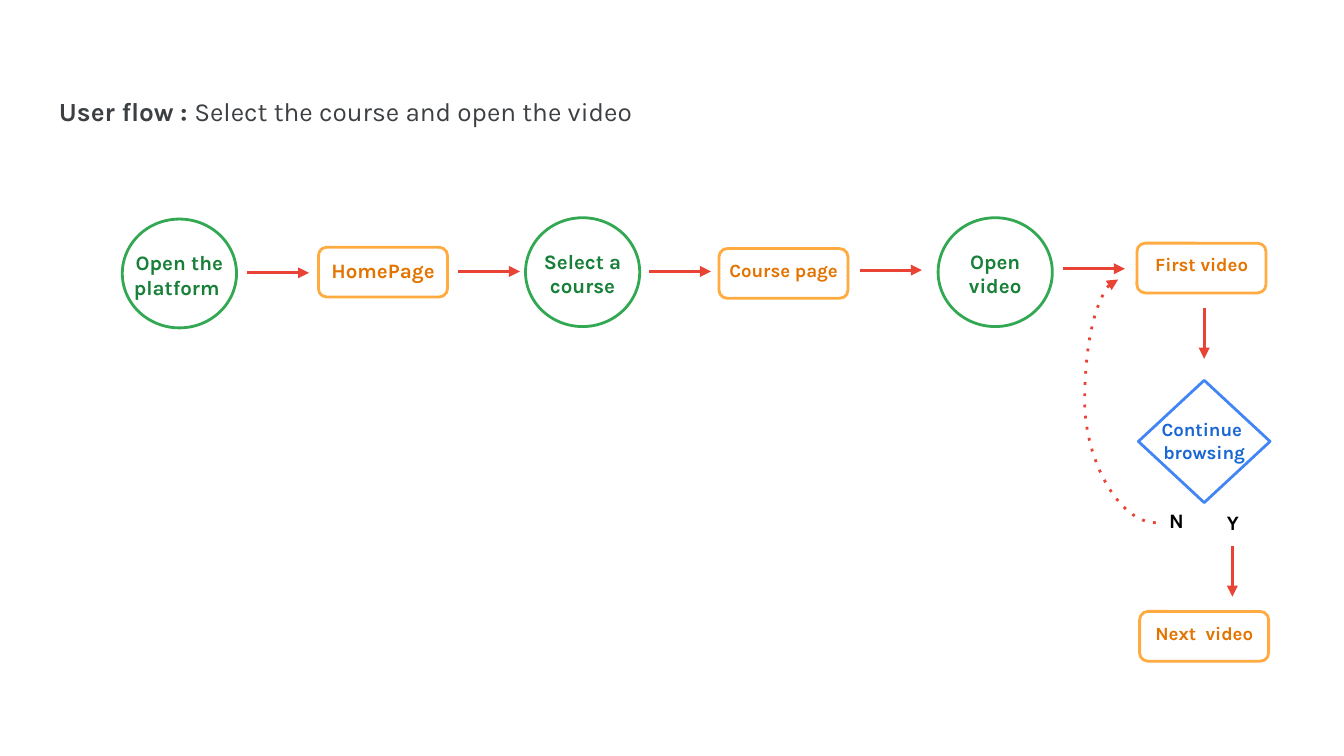
from pptx import Presentation
from pptx.dml.color import RGBColor
from pptx.enum.dml import MSO_LINE
from pptx.enum.shapes import MSO_CONNECTOR, MSO_SHAPE
from pptx.enum.text import PP_ALIGN
from pptx.oxml.ns import qn
from pptx.util import Inches, Pt
from lxml import etree

FONT = "Karla"
RED = "E94335"
TITLE = [("User flow : ", True), ("Select the course and open the video", False)]

KINDS = {
    "action": dict(shape=MSO_SHAPE.OVAL, size=(0.85, 0.81), line="33A853",
                   color="188038", text_size=(1.1, 0.39), text_drop=0.13),
    "page": dict(shape=MSO_SHAPE.ROUNDED_RECTANGLE, size=(0.96, 0.37), line="FFAB40",
                 color="E37400", text_size=(1.25, 0.56), text_drop=-0.01),
    "decision": dict(shape=MSO_SHAPE.DIAMOND, size=(0.98, 0.91), line="4285F4",
                     color="1967D2", text_size=(1.1, 0.44), text_drop=0.18),
}
STEPS = [
    ("action", 0.91, 1.63, "Open the platform ", 11),
    ("page", 2.37, 1.84, "HomePage", 11),
    ("action", 3.91, 1.62, "Select a course", 11),
    ("page", 5.35, 1.85, "Course page", 10),
    ("action", 6.98, 1.62, "Open\nvideo", 11),
    ("page", 8.46, 1.81, "First video", 10),
    ("decision", 8.47, 2.83, "Continue \nbrowsing", 10),
    ("page", 8.48, 4.55, "Next  video", 10),
]
ANSWERS = [("N", 8.6, 3.69, 0.4), ("Y", 9.03, 3.7, 0.24)]
ACROSS = [(1.84, 2.03), (3.41, 2.02), (4.83, 2.02), (6.4, 2.01), (7.91, 2.0)]
ACROSS_LENGTH = 0.46
DOWN = [(8.96, 2.29), (9.17, 4.06)]
DOWN_LENGTH = 0.38
LOOP = (8.6, 3.89, 8.32, 2.08)
LOOP_BULGE = 1.89


def rgb(value):
    return RGBColor.from_string(value)


def style(font, size, color, bold=True):
    font.name, font.size, font.bold = FONT, Pt(size), bold
    font.color.rgb = rgb(color)


def add_text(s, x, y, w, h, text, size, color, align=PP_ALIGN.LEFT):
    tf = s.shapes.add_textbox(*map(Inches, (x, y, w, h))).text_frame
    tf.word_wrap = True
    tf.margin_left = tf.margin_right = tf.margin_top = tf.margin_bottom = Inches(0.1)
    tf.text = text
    for p in tf.paragraphs:
        p.alignment = align
        style(p.font, size, color)
    return tf


def add_step(s, kind, x, y, text, size):
    look = KINDS[kind]
    w, h = look["size"]
    sp = s.shapes.add_shape(look["shape"], *map(Inches, (x, y, w, h)))
    sp.shadow.inherit = False
    sp.fill.background()
    sp.line.color.rgb = rgb(look["line"])
    sp.line.width = Pt(1.5)
    tw, th = look["text_size"]
    add_text(s, x + (w - tw) / 2, y + look["text_drop"], tw, th,
             text, size, look["color"], PP_ALIGN.CENTER)


def add_arrow(s, x1, y1, x2, y2, kind=MSO_CONNECTOR.STRAIGHT):
    cxn = s.shapes.add_connector(kind, *map(Inches, (x1, y1, x2, y2)))
    cxn.line.color.rgb = rgb(RED)
    cxn.line.width = Pt(1.5)
    ln = cxn.line._get_or_add_ln()
    etree.SubElement(ln, qn("a:tailEnd"), type="triangle")
    etree.SubElement(cxn._element.spPr, qn("a:effectLst"))
    return cxn


prs = Presentation()
prs.slide_width = Inches(10)
prs.slide_height = prs.slide_width * 9 // 16
s = prs.slides.add_slide(prs.slide_layouts[6])

p = add_text(s, 0.34, 0.49, 9.32, 0.72, "", 14, "3C4043").paragraphs[0]
p.line_spacing = 1.5
for text, bold in TITLE:
    r = p.add_run()
    r.text = text
    style(r.font, 14, "3C4043", bold)

for step in STEPS:
    add_step(s, *step)
for text, x, y, h in ANSWERS:
    add_text(s, x, y, 0.31, h, text, 11, "000000")
for x, y in ACROSS:
    add_arrow(s, x, y, x + ACROSS_LENGTH, y)
for x, y in DOWN:
    add_arrow(s, x, y, x, y + DOWN_LENGTH)

loop = add_arrow(s, *LOOP, MSO_CONNECTOR.CURVE)
loop.line.dash_style = MSO_LINE.ROUND_DOT
guides = loop._element.spPr.find(qn("a:prstGeom")).find(qn("a:avLst"))
etree.SubElement(guides, qn("a:gd"), name="adj1", fmla=f"val {round(LOOP_BULGE * 100000)}")
loop.line._get_or_add_ln().find(qn("a:prstDash")).set("val", "dot")

prs.save("out.pptx")
